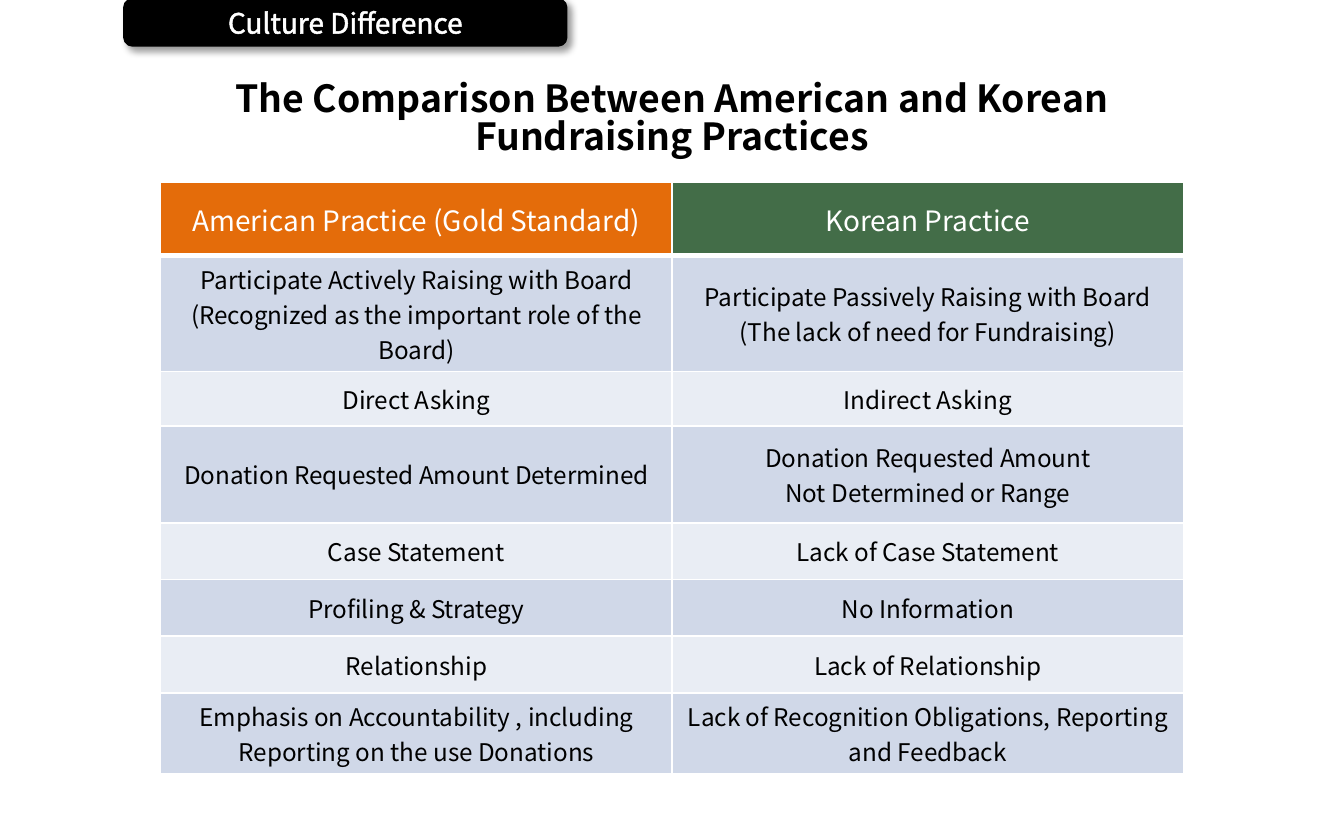
from lxml import etree
from pptx import Presentation
from pptx.dml.color import RGBColor
from pptx.enum import shapes, text
from pptx.oxml import ns
from pptx.util import Pt

BLACK = RGBColor(0x00, 0x00, 0x00)
WHITE = RGBColor(0xFF, 0xFF, 0xFF)
ORANGE = RGBColor(0xE4, 0x6C, 0x0A)
GREEN = RGBColor(0x43, 0x6D, 0x48)
BAND_DARK = RGBColor(0xD0, 0xD8, 0xE8)
BAND_LIGHT = RGBColor(0xE9, 0xED, 0xF4)

HEADERS = [("American Practice (Gold Standard)", ORANGE), ("Korean Practice", GREEN)]
HEADER_HEIGHT = 39.5
# Row height, American practice, Korean practice; a line break starts a paragraph
PRACTICES = [
    (54, "Participate Actively Raising with Board\n(Recognized as the important role of the Board)",
     "Participate Passively Raising with Board\n(The lack of need for Fundraising)"),
    (29, "Direct Asking", "Indirect Asking"),
    (52, "Donation Requested Amount Determined",
     "Donation Requested Amount\nNot Determined or Range"),
    (30.4, "Case Statement", "Lack of Case Statement"),
    (30.4, "Profiling & Strategy", "No Information"),
    (30.4, "Relationship", "Lack of Relationship"),
    (39.6, "Emphasis on Accountability , including Reporting on the use Donations",
     "Lack of Recognition Obligations, Reporting and Feedback"),
]


def add_solid(parent, color, opacity=100):
    """Append a colour element, partly transparent below 100 percent."""
    clr = etree.SubElement(parent, ns.qn("a:srgbClr"), val=str(color))
    if opacity < 100:
        etree.SubElement(clr, ns.qn("a:alpha"), val=str(opacity * 1000))


class SlideBuilder:
    font = "Noto Sans CJK KR"

    def __init__(self, slide):
        self.slide = slide

    def add_text(self, tf, content, size, color, bold=False):
        """Fill a text frame with centred paragraphs and return the last run."""
        tf.word_wrap = True
        for i, line in enumerate(content.split("\n")):
            p = tf.add_paragraph() if i else tf.paragraphs[0]
            p.alignment = text.PP_ALIGN.CENTER
            r = p.add_run()
            r.text = line
            r.font.name = self.font
            r.font.size = Pt(size)
            r.font.bold = bold
            r.font.color.rgb = color
        return r

    def title(self, content, left, top, width, height):
        sp = self.slide.shapes.title
        sp.left, sp.top, sp.width, sp.height = map(Pt, (left, top, width, height))
        tf = sp.text_frame
        self.add_text(tf, content, 20, BLACK, bold=True)
        tf.auto_size = text.MSO_AUTO_SIZE.NONE
        tf.vertical_anchor = text.MSO_ANCHOR.MIDDLE
        tf.paragraphs[0].line_spacing = 0.83

    def tab(self, content, left, top, width, height):
        """Add the shadowed rounded label with outlined text."""
        sp = self.slide.shapes.add_shape(
            shapes.MSO_SHAPE.ROUNDED_RECTANGLE, *map(Pt, (left, top, width, height)))
        sp.fill.solid()
        sp.fill.fore_color.rgb = BLACK
        sp.line.color.rgb = BLACK
        sp.line.width = Pt(2)
        sp.shadow.inherit = False
        effects = sp._element.spPr.find(ns.qn("a:effectLst"))
        shadow = etree.SubElement(
            effects, ns.qn("a:outerShdw"), blurRad=str(Pt(4)), dist=str(Pt(3)),
            dir=str(45 * 60000), algn="tl", rotWithShape="0")
        add_solid(shadow, BLACK, 40)

        tf = sp.text_frame
        tf.vertical_anchor = text.MSO_ANCHOR.MIDDLE
        r = self.add_text(tf, content, 15, WHITE)
        ln = etree.Element(ns.qn("a:ln"), w=str(Pt(1.45)))
        add_solid(etree.SubElement(ln, ns.qn("a:solidFill")), WHITE)
        r._r.get_or_add_rPr().insert(0, ln)

    def cell(self, cell, content, size, color, fill, bottom=1):
        cell.fill.solid()
        cell.fill.fore_color.rgb = fill
        cell.vertical_anchor = text.MSO_ANCHOR.MIDDLE
        cell.margin_left = cell.margin_right = Pt(6)
        cell.margin_top = cell.margin_bottom = Pt(3)
        self.add_text(cell.text_frame, content, size, color)
        tc_pr = cell._tc.get_or_add_tcPr()
        for i, (side, width) in enumerate(zip("LRTB", (1, 1, 1, bottom))):
            ln = etree.Element(ns.qn(f"a:ln{side}"), w=str(Pt(width)))
            add_solid(etree.SubElement(ln, ns.qn("a:solidFill")), WHITE)
            tc_pr.insert(i, ln)

    def comparison(self, left, top, col_width):
        heights = [HEADER_HEIGHT] + [row[0] for row in PRACTICES]
        table = self.slide.shapes.add_table(
            len(heights), len(HEADERS), Pt(left), Pt(top),
            Pt(col_width * len(HEADERS)), Pt(sum(heights))).table
        table.horz_banding = False
        for col in table.columns:
            col.width = Pt(col_width)
        for row, height in zip(table.rows, heights):
            row.height = Pt(height)
        for c, (header, fill) in enumerate(HEADERS):
            self.cell(table.cell(0, c), header, 15, WHITE, fill, bottom=3)
        for r, (_, *practices) in enumerate(PRACTICES, 1):
            fill = BAND_DARK if r % 2 else BAND_LIGHT
            for c, practice in enumerate(practices):
                self.cell(table.cell(r, c), practice, 13, BLACK, fill)


def main():
    prs = Presentation()
    prs.slide_width, prs.slide_height = Pt(720), Pt(450)
    s = SlideBuilder(prs.slides.add_slide(prs.slide_layouts[5]))
    s.title("The Comparison Between American and Korean Fundraising Practices",
            90, 36, 540, 57)
    s.comparison(86, 97.5, 274)
    s.tab("Culture Difference", 67, 0, 236, 24)
    prs.save("out.pptx")


if __name__ == "__main__":
    main()
